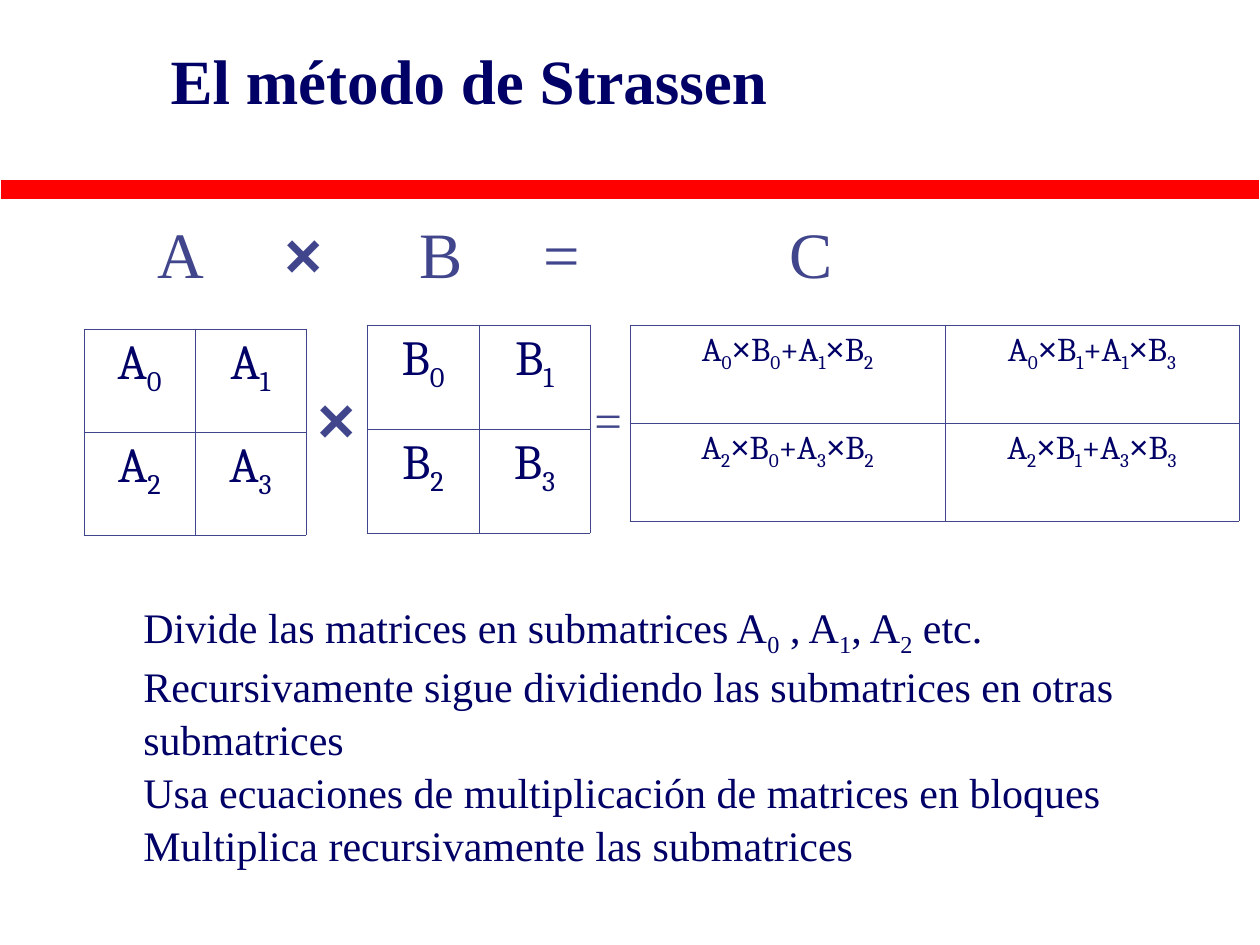
from dataclasses import dataclass
from itertools import groupby

from lxml.etree import SubElement
from pptx import Presentation
from pptx.dml.color import RGBColor
from pptx.enum.shapes import MSO_SHAPE as Shape
from pptx.enum.text import MSO_ANCHOR as Anchor, PP_ALIGN as Align
from pptx.oxml.ns import qn
from pptx.util import Emu, Pt

EMU_PER_PX = 914400 / 126
COLORS = {"navy": "000066", "slate": "40458C", "red": "FF0000", "white": "FFFFFF"}
SERIF, SANS, CELL_FONT = "Times New Roman", "Arial", "Cambria"


@dataclass(frozen=True)
class Area:
    left: int
    top: int
    width: int
    height: int

    def emu(self) -> tuple:
        return tuple(px(n) for n in (self.left, self.top, self.width, self.height))


@dataclass(frozen=True)
class Style:
    size: int
    font: str
    color: str
    bold: bool = False
    bold_times: bool = False


@dataclass(frozen=True)
class Matrix:
    left: int
    top: int
    columns: tuple
    row_height: int
    cells: tuple
    size: int
    before: float
    after: float


@dataclass(frozen=True)
class Label:
    text: str
    area: Area
    style: Style
    spacing: dict
    tabs: tuple = ()


def px(length: int) -> Emu:
    return Emu(round(length * EMU_PER_PX))


def rgb(name: str) -> RGBColor:
    return RGBColor.from_string(COLORS[name])


def char_kind(char: str) -> str:
    if char.isdigit():
        return "subscript"
    return "times" if char == "×" else "plain"


def write(para, text: str, style: Style, spacing: dict) -> None:
    """Write text with digits as subscripts and the times sign in the sans font."""
    for name, value in spacing.items():
        setattr(para, name, value)
    for kind, chars in groupby(text, char_kind):
        span = para.add_run()
        span.text = "".join(chars)
        is_times = kind == "times"
        values = {
            "size": Pt(style.size),
            "name": SANS if is_times else style.font,
            "bold": style.bold or (is_times and style.bold_times),
        }
        for name, value in values.items():
            setattr(span.font, name, value)
        span.font.color.rgb = rgb(style.color)
        if kind == "subscript":
            span.font._element.set("baseline", "-25000")


def set_tabs(para, stops: tuple) -> None:
    tab_list = SubElement(para._p.get_or_add_pPr(), qn("a:tabLst"))
    for stop in stops:
        SubElement(tab_list, qn("a:tab"), pos=str(px(stop)), algn="l")


def add_box(page, area: Area):
    frame = page.shapes.add_textbox(*area.emu()).text_frame
    frame.word_wrap = True
    return frame


def add_label(page, label: Label) -> None:
    para = add_box(page, label.area).paragraphs[0]
    write(para, label.text, label.style, label.spacing)
    if label.tabs:
        set_tabs(para, label.tabs)


def set_borders(cell, outer_sides: str) -> None:
    properties = cell._tc.get_or_add_tcPr()
    for side in "LRTB":
        width = Pt(0.5 if side in outer_sides else 0.23)
        line = SubElement(properties, qn(f"a:ln{side}"), w=str(width))
        fill = SubElement(line, qn("a:solidFill"))
        SubElement(fill, qn("a:srgbClr"), val=COLORS["slate"])


def add_matrix(page, matrix: Matrix) -> None:
    rows = len(matrix.cells)
    area = Area(matrix.left, matrix.top, sum(matrix.columns), rows * matrix.row_height)
    table = page.shapes.add_table(rows, len(matrix.columns), *area.emu()).table
    table.first_row = table.horz_banding = False
    for column, width in zip(table.columns, matrix.columns):
        column.width = px(width)
    style = Style(matrix.size, CELL_FONT, "navy")
    spacing = {"alignment": Align.CENTER, "line_spacing": 0.98,
               "space_before": Pt(matrix.before), "space_after": Pt(matrix.after)}
    for i, texts in enumerate(matrix.cells):
        table.rows[i].height = px(matrix.row_height)
        for j, text in enumerate(texts):
            cell = table.cell(i, j)
            set_borders(cell, "TB"[i] + "LR"[j])
            cell.fill.background()
            write(cell.text_frame.paragraphs[0], text, style, spacing)


def block(name: str) -> tuple:
    return tuple(tuple(f"{name}{2 * i + j}" for j in range(2)) for i in range(2))


def product() -> tuple:
    return tuple(tuple(f"A{2 * i}×B{j}+A{2 * i + 1}×B{j + 2}" for j in range(2))
                 for i in range(2))


HEADING = Style(37, SERIF, "slate", bold_times=True)
LABELS = (
    Label("\tA\t×\tB\t=\tC", Area(84, 223, 1113, 76), HEADING,
          {"line_spacing": 0.8, "space_before": Pt(9.2)}, (61, 188, 323, 447, 693)),
    Label("×", Area(305, 397, 60, 63), HEADING,
          {"line_spacing": 0.65, "space_before": Pt(9.2)}),
    Label("=", Area(582, 399, 60, 54), Style(28, SERIF, "slate"),
          {"line_spacing": 0.7, "space_before": Pt(7)}),
)
MATRICES = (
    Matrix(84, 329, (111, 111), 103, block("A"), 28, 12.2, 3.5),
    Matrix(367, 325, (112, 111), 104, block("B"), 28, 12.2, 3.5),
    Matrix(630, 325, (315, 294), 98, product(), 19, 8.2, 2.4),
)
STEPS = (
    "Divide las matrices en submatrices A0 , A1, A2 etc.",
    "Recursivamente sigue dividiendo las submatrices en otras submatrices",
    "Usa ecuaciones de multiplicación de matrices en bloques",
    "Multiplica recursivamente las submatrices",
)


def main() -> None:
    deck = Presentation()
    deck.slide_width, deck.slide_height = px(1260), px(945)
    page = deck.slides.add_slide(deck.slide_layouts[5])

    # Title
    title = page.shapes.title
    title.left, title.top, title.width, title.height = Area(158, 0, 1071, 158).emu()
    title.text_frame.vertical_anchor = Anchor.MIDDLE
    write(title.text_frame.paragraphs[0], "El método de Strassen",
          Style(36, SERIF, "navy", bold=True), {"alignment": Align.LEFT})

    # Red rule under the title
    rule = page.shapes.add_shape(Shape.RECTANGLE, *Area(0, 179, 1260, 21).emu())
    rule.shadow.inherit = False
    rule.fill.solid()
    rule.fill.fore_color.rgb = rgb("red")
    rule.line.color.rgb = rgb("white")
    rule.line.width = Pt(1)

    # Block matrices and the signs around them
    for matrix in MATRICES:
        add_matrix(page, matrix)
    for label in LABELS:
        add_label(page, label)

    # Steps of the method
    frame = add_box(page, Area(84, 592, 1155, 322))
    for i, step in enumerate(STEPS):
        para = frame.add_paragraph() if i else frame.paragraphs[0]
        write(para, step, Style(24, SERIF, "navy"), {"line_spacing": 1.05})
        para._p.get_or_add_pPr().set("marL", str(px(47)))

    deck.save("out.pptx")


if __name__ == "__main__":
    main()
